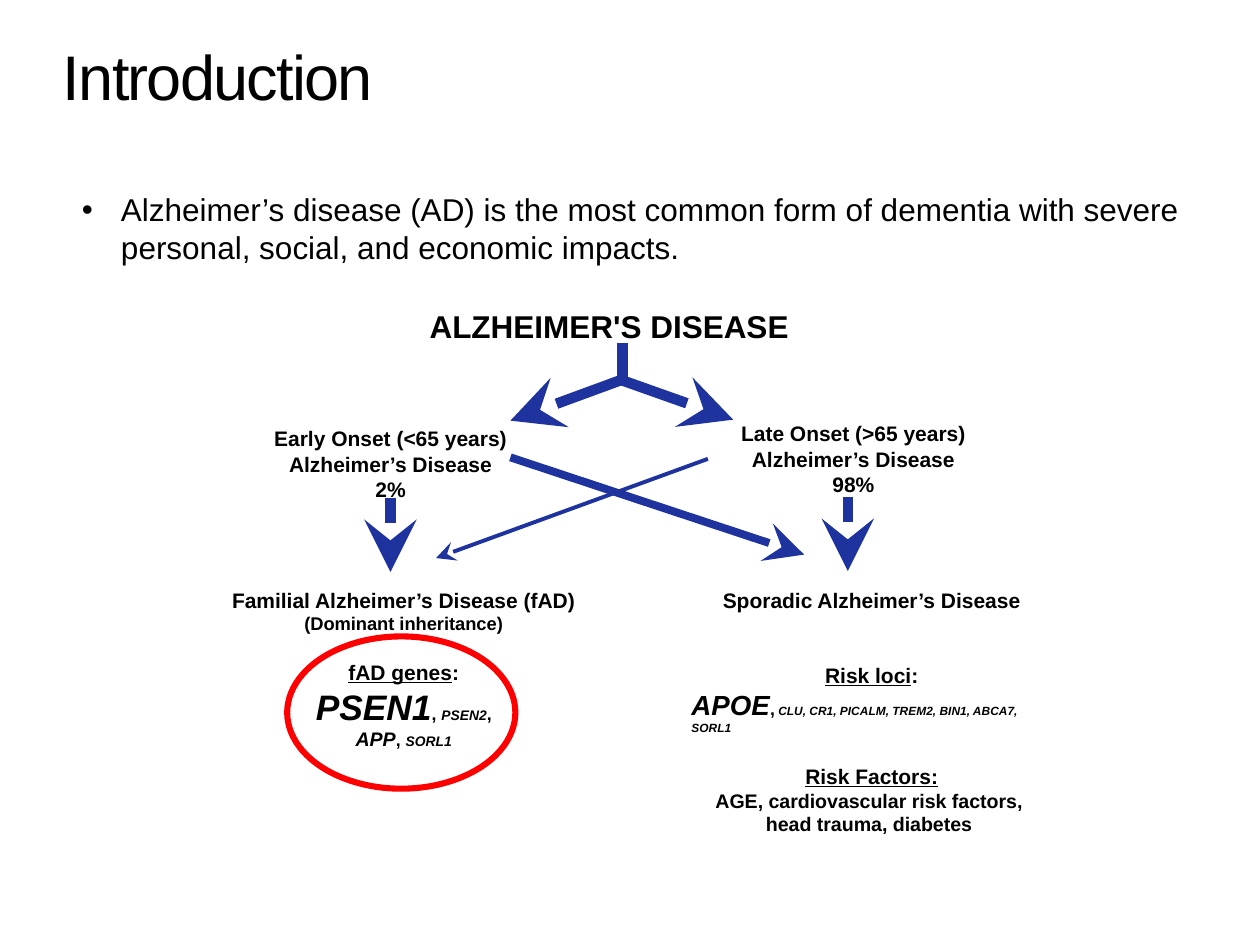
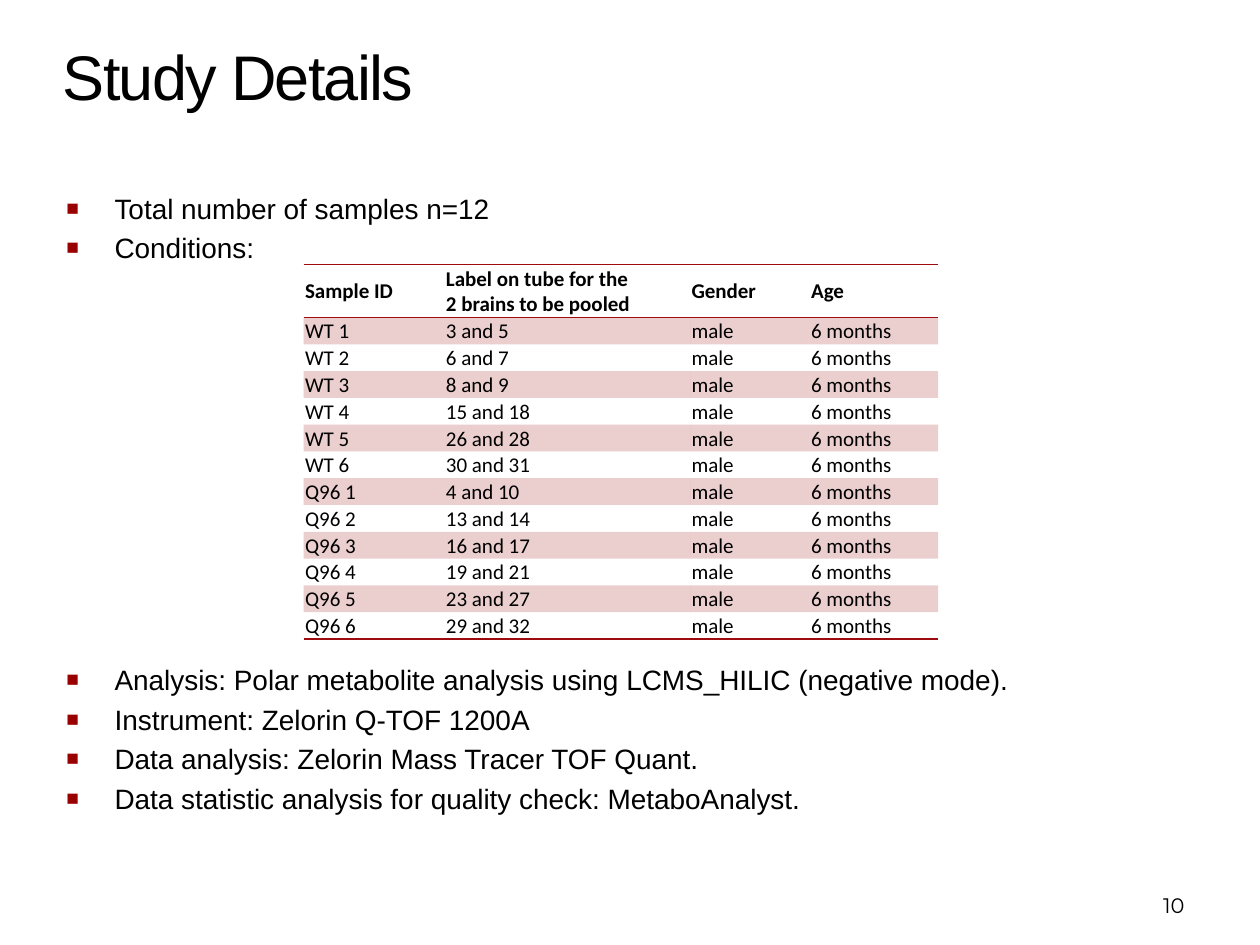
from dataclasses import dataclass

from lxml.etree import SubElement
from pptx import Presentation
from pptx.dml.color import RGBColor
from pptx.enum.shapes import MSO_CONNECTOR as CONN, MSO_SHAPE as SHAPE
from pptx.enum.text import MSO_ANCHOR as ANCHOR, PP_ALIGN as ALIGN
from pptx.oxml.ns import qn
from pptx.util import Cm, Pt


@dataclass(frozen=True)
class Theme:
    font: str = "Arial"
    table_font: str = "Calibri"
    number_font: str = "Montserrat"
    text: str = "000000"
    arrow: str = "1E339E"
    ring: str = "FF0000"
    table: str = "9D0B0E"
    bullet: str = "990000"
    title_pt: float = 36
    lead_pt: float = 18
    list_pt: float = 16
    small_pt: float = 12


T = Theme()
NO_TABLE_STYLE = "{2D5ABB26-0587-4C30-8999-92F81FD0307C}"

# ---- Content: introduction ----
LEAD = ("Alzheimer’s disease (AD) is the most common form of dementia "
        "with severe personal, social, and economic impacts.")

# Each paragraph: (align, space before in pt, [(text, size, style letters)])
C, L = ALIGN.CENTER, ALIGN.LEFT


def onset(name, share):
    return [(C, 0, [(line, T.small_pt, "b")])
            for line in (name, "Alzheimer’s Disease", share)]


HEADING = [(L, 0, [("ALZHEIMER'S DISEASE", T.lead_pt, "b")])]
FAMILIAL = [
    (C, 0, [("Familial Alzheimer’s Disease (fAD)", T.small_pt, "b")]),
    (C, 0, [("(Dominant inheritance)", 10.5, "b")]),
    (C, 14.4, [("fAD genes", T.small_pt, "bu"), (":", T.small_pt, "b")]),
    (C, 0, [("PSEN1", 20.2, "bi"), (", ", 10.1, "b"),
            ("PSEN2", 7.9, "bi"), (",", 10.1, "b")]),
    (C, 0, [("APP", 11.2, "bi"), (", ", 10.1, "b"), ("SORL1", 7.9, "bi")]),
]
SPORADIC = [
    (C, 0, [("Sporadic Alzheimer’s Disease", T.small_pt, "b")]),
    (C, 28.8, [("Risk loci", T.small_pt, "bu"), (":", T.small_pt, "b")]),
    (L, 0, [("APOE", 15.8, "bi"), (",", 10.1, "b"),
            (" CLU, CR1, PICALM, TREM2, BIN1, ABCA7, SORL1", 6.8, "bi")]),
    (C, 16.2, [("Risk Factors:", T.small_pt, "bu")]),
    (C, 0, [("AGE, cardiovascular risk factors, ", 11.2, "b")]),
    (C, 0, [("head trauma, diabetes ", 11.2, "b")]),
]
# (left, top, width, height) in cm, paragraphs
DIAGRAM = [
    ((8.41, 6.07, 8.05, 1.02), HEADING),
    ((4.47, 8.46, 6.81, 1.8), onset("Early Onset (<65 years)", "2%")),
    ((13.69, 11.71, 7.77, 5.61), SPORADIC),
    ((14.27, 8.36, 5.87, 1.8), onset("Late Onset (>65 years)", "98%")),
    ((4.42, 11.71, 7.44, 4.01), FAMILIAL),
]
# (x1, y1, x2, y2) in cm, weight in pt, has an arrowhead
ARROWS = [
    ((12.55, 6.91, 12.55, 7.7), 6, False),
    ((12.55, 7.67, 14.78, 8.46), 6, True),
    ((12.55, 7.65, 10.29, 8.48), 6, True),
    ((7.87, 10.03, 7.87, 11.53), 6, True),
    ((17.09, 10.01, 17.09, 11.51), 6, True),
    ((10.29, 9.22, 16.21, 11.18), 4.5, True),
    ((14.27, 9.25, 8.79, 11.25), 2.25, True),
]
GENE_RING = (5.79, 12.83, 4.6, 3.07)

# ---- Content: study details ----
SAMPLE_POINTS = ["Total number of samples n=12", "Conditions:"]
METHOD_POINTS = [
    "Analysis: Polar metabolite analysis using LCMS_HILIC (negative mode).",
    "Instrument: Zelorin Q-TOF 1200A",
    "Data analysis: Zelorin Mass Tracer TOF Quant.",
    "Data statistic analysis for quality check: MetaboAnalyst.",
]
HEADER = ["Sample ID", "Label on tube for the \n2 brains to be pooled",
          "Gender", "Age"]
POOLS = {
    "WT": [(3, 5), (6, 7), (8, 9), (15, 18), (26, 28), (30, 31)],
    "Q96": [(4, 10), (13, 14), (16, 17), (19, 21), (23, 27), (29, 32)],
}
SAMPLES = [[f"{group} {n}", f"{a} and {b}", "male", "6 months"]
           for group, pairs in POOLS.items()
           for n, (a, b) in enumerate(pairs, 1)]
COL_WIDTHS = [2.84, 4.95, 2.41, 2.59]
HEADER_HEIGHT, ROW_HEIGHT = 1.07, 0.54


# ---- Helpers ----
def rgb(value):
    return RGBColor.from_string(value)


def cms(values):
    return [Cm(v) for v in values]


def style(r, size, flags="", font=T.font):
    f = r.font
    f.name, f.size = font, Pt(size)
    f.color.rgb = rgb(T.text)
    f.bold, f.italic, f.underline = ("b" in flags, "i" in flags, "u" in flags)


def text_box(slide, box, paragraphs, anchor=ANCHOR.TOP, font=T.font):
    tf = slide.shapes.add_textbox(*cms(box)).text_frame
    tf.word_wrap, tf.vertical_anchor = True, anchor
    for i, (align, before, runs) in enumerate(paragraphs):
        p = tf.add_paragraph() if i else tf.paragraphs[0]
        p.alignment = align
        if before:
            p.space_before = Pt(before)
        for text, size, flags in runs:
            r = p.add_run()
            r.text = text
            style(r, size, flags, font)
    return tf


def add_bullets(tf, char, indent, color=None, percent=None):
    for p in tf.paragraphs:
        pPr = p._p.get_or_add_pPr()
        pPr.set("marL", str(Cm(indent)))
        pPr.set("indent", str(-Cm(indent)))
        if color:
            clr = SubElement(pPr, qn("a:buClr"))
            SubElement(clr, qn("a:srgbClr"), val=color)
        if percent:
            SubElement(pPr, qn("a:buSzPct"), val=str(percent * 1000))
        SubElement(pPr, qn("a:buFont"), typeface=T.font)
        SubElement(pPr, qn("a:buChar"), char=char)


def point_list(slide, box, points):
    tf = text_box(slide, box, [(L, 3.5 if i else 0, [(pt, T.list_pt, "")])
                               for i, pt in enumerate(points)])
    add_bullets(tf, "■", 0.97, T.bullet, 75)


def new_slide(prs, title):
    slide = prs.slides.add_slide(prs.slide_layouts[6])
    tf = text_box(slide, (1.27, 0.76, 16, 1.55),
                  [(L, 0, [(title, T.title_pt, "")])])
    tf.margin_left = tf.margin_top = tf.margin_right = tf.margin_bottom = 0
    tf.paragraphs[0].runs[0].font._element.set("spc", "-100")
    return slide


def add_arrow(slide, ends, weight, has_head):
    cn = slide.shapes.add_connector(CONN.STRAIGHT, *cms(ends))
    cn.line.color.rgb, cn.line.width = rgb(T.arrow), Pt(weight)
    if has_head:
        SubElement(cn.line._get_or_add_ln(), qn("a:tailEnd"),
                   type="stealth", w="lg", len="lg")
    SubElement(cn._element.spPr, qn("a:effectLst"))


def add_rule(cell, side):
    ln = SubElement(cell._tc.get_or_add_tcPr(), qn(f"a:{side}"),
                    w=str(Pt(1)))
    fill = SubElement(ln, qn("a:solidFill"))
    SubElement(fill, qn("a:srgbClr"), val=T.table)


def tint(cell, percent):
    cell.fill.solid()
    cell.fill.fore_color.rgb = rgb(T.table)
    clr = cell._tc.tcPr.find(qn("a:solidFill")).find(qn("a:srgbClr"))
    SubElement(clr, qn("a:alpha"), val=str(percent * 1000))


def sample_table(slide, left, top):
    rows = [HEADER] + SAMPLES
    heights = [HEADER_HEIGHT] + [ROW_HEIGHT] * len(SAMPLES)
    size = (sum(COL_WIDTHS), sum(heights))
    tbl = slide.shapes.add_table(len(rows), len(HEADER),
                                 *cms((left, top, *size))).table
    tbl.first_row = tbl.horz_banding = False
    tbl._tbl.tblPr.find(qn("a:tableStyleId")).text = NO_TABLE_STYLE
    for col, width in zip(tbl.columns, COL_WIDTHS):
        col.width = Cm(width)
    for i, (row, height) in enumerate(zip(rows, heights)):
        tbl.rows[i].height = Cm(height)
        for j, text in enumerate(row):
            cell = tbl.cell(i, j)
            cell.margin_left = cell.margin_right = cell.margin_top = Cm(0.03)
            cell.margin_bottom = 0
            cell.vertical_anchor = ANCHOR.BOTTOM if i else ANCHOR.MIDDLE
            cell.text_frame.text = text
            for p in cell.text_frame.paragraphs:
                for r in p.runs:
                    style(r, T.small_pt, "" if i else "b", T.table_font)
            if i == 0:
                add_rule(cell, "lnT")
            if i in (0, len(SAMPLES)):
                add_rule(cell, "lnB")
            if i % 2:
                tint(cell, 20)
            else:
                cell.fill.background()


# ---- Slides ----
def introduction(prs):
    slide = new_slide(prs, "Introduction")
    lead = text_box(slide, (1.4, 3.71, 22.63, 1.8),
                    [(L, 0, [(LEAD, T.lead_pt, "")])])
    add_bullets(lead, "•", 0.79)
    for box, paragraphs in DIAGRAM:
        text_box(slide, box, paragraphs)
    for ends, weight, has_head in ARROWS:
        add_arrow(slide, ends, weight, has_head)
    sp = slide.shapes.add_shape(SHAPE.OVAL, *cms(GENE_RING))
    sp.shadow.inherit = False
    sp.fill.background()
    sp.line.color.rgb, sp.line.width = rgb(T.ring), Pt(3.5)


def study_details(prs):
    slide = new_slide(prs, "Study Details")
    point_list(slide, (1.09, 3.73, 22.86, 1.9), SAMPLE_POINTS)
    point_list(slide, (1.09, 13.23, 22.86, 3.5), METHOD_POINTS)
    text_box(slide, (18.21, 17.35, 5.92, 1.27),
             [(ALIGN.RIGHT, 0, [("10", T.small_pt, "")])],
             ANCHOR.BOTTOM, T.number_font)
    sample_table(slide, 6.12, 5.33)


def main():
    prs = Presentation()
    prs.slide_width, prs.slide_height = Cm(25.4), Cm(19.05)
    introduction(prs)
    study_details(prs)
    prs.save("out.pptx")


if __name__ == "__main__":
    main()
